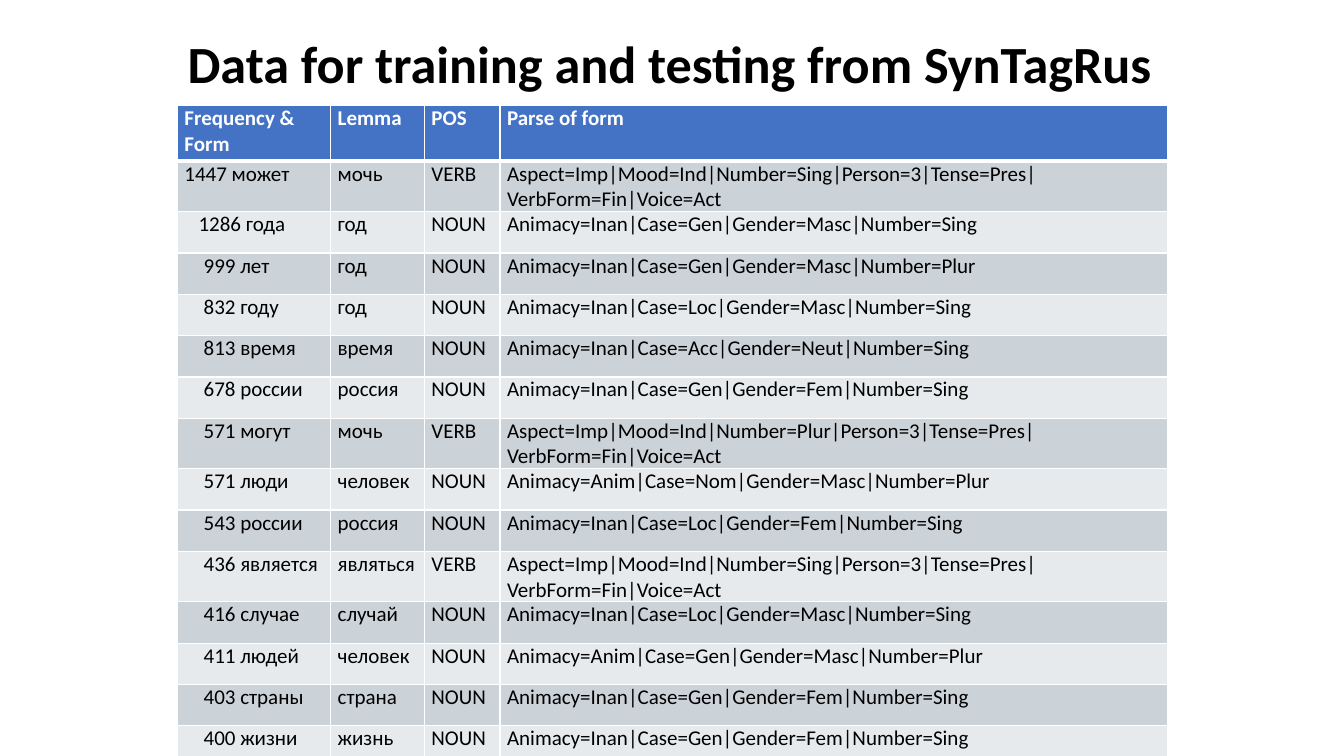
from dataclasses import dataclass

from lxml.etree import SubElement
from pptx import Presentation
from pptx.dml.color import RGBColor
from pptx.enum.text import MSO_ANCHOR, MSO_AUTO_SIZE, PP_ALIGN
from pptx.oxml.ns import qn
from pptx.slide import Slide
from pptx.table import Table, _Cell
from pptx.util import Inches, Pt


@dataclass(frozen=True)
class Theme:
    font: str = "Calibri"
    title_size: float = 37.3
    table_size: float = 15
    text: str = "000000"
    header_text: str = "FFFFFF"
    header_fill: str = "4472C4"
    bands: tuple[str, str] = ("CBD2D8", "E7EAEC")
    border: str = "FFFFFF"
    thin: float = 1
    thick: float = 3


@dataclass(frozen=True)
class WordForm:
    frequency: int
    form: str
    lemma: str
    pos: str
    features: str
    indent: float = 0.19


THEME = Theme()
HEADINGS = ("Frequency & Form", "Lemma", "POS", "Parse of form")
COLUMN_WIDTHS = (1.52, 0.93, 0.75, 6.62)
HEADER_HEIGHT = 0.55
ROW_HEIGHTS = {"VERB": 0.49, "NOUN": 0.41}

SINGULAR_VERB = "Aspect=Imp|Mood=Ind|Number=Sing|Person=3|Tense=Pres|VerbForm=Fin|Voice=Act"
PLURAL_VERB = SINGULAR_VERB.replace("Number=Sing", "Number=Plur")

WORD_FORMS = (
    WordForm(1447, "может", "мочь", "VERB", SINGULAR_VERB, 0),
    WordForm(1286, "года", "год", "NOUN", "Animacy=Inan|Case=Gen|Gender=Masc|Number=Sing", 0.14),
    WordForm(999, "лет", "год", "NOUN", "Animacy=Inan|Case=Gen|Gender=Masc|Number=Plur"),
    WordForm(832, "году", "год", "NOUN", "Animacy=Inan|Case=Loc|Gender=Masc|Number=Sing"),
    WordForm(813, "время", "время", "NOUN", "Animacy=Inan|Case=Acc|Gender=Neut|Number=Sing"),
    WordForm(678, "россии", "россия", "NOUN", "Animacy=Inan|Case=Gen|Gender=Fem|Number=Sing"),
    WordForm(571, "могут", "мочь", "VERB", PLURAL_VERB),
    WordForm(571, "люди", "человек", "NOUN", "Animacy=Anim|Case=Nom|Gender=Masc|Number=Plur"),
    WordForm(543, "россии", "россия", "NOUN", "Animacy=Inan|Case=Loc|Gender=Fem|Number=Sing"),
    WordForm(436, "является", "являться", "VERB", SINGULAR_VERB),
    WordForm(416, "случае", "случай", "NOUN", "Animacy=Inan|Case=Loc|Gender=Masc|Number=Sing"),
    WordForm(411, "людей", "человек", "NOUN", "Animacy=Anim|Case=Gen|Gender=Masc|Number=Plur"),
    WordForm(403, "страны", "страна", "NOUN", "Animacy=Inan|Case=Gen|Gender=Fem|Number=Sing"),
    WordForm(400, "жизни", "жизнь", "NOUN", "Animacy=Inan|Case=Gen|Gender=Fem|Number=Sing"),
)


def add_title(page: Slide, text: str) -> None:
    title = page.shapes.title
    title.left, title.top = Inches(1.76), Inches(0.26)
    title.width, title.height = Inches(10), Inches(0.73)
    frame = title.text_frame
    frame.text = text
    frame.word_wrap = True
    frame.auto_size = MSO_AUTO_SIZE.SHAPE_TO_FIT_TEXT
    frame.vertical_anchor = MSO_ANCHOR.TOP
    para = frame.paragraphs[0]
    para.alignment = PP_ALIGN.LEFT
    para.font.name = THEME.font
    para.font.size = Pt(THEME.title_size)
    para.font.bold = True
    para.font.color.rgb = RGBColor.from_string(THEME.text)


def set_borders(cell: _Cell, top: float, bottom: float) -> None:
    properties = cell._tc.get_or_add_tcPr()
    widths = {"a:lnL": THEME.thin, "a:lnR": THEME.thin, "a:lnT": top, "a:lnB": bottom}
    for tag, width in widths.items():
        line = SubElement(properties, qn(tag), w=str(Pt(width)))
        fill = SubElement(line, qn("a:solidFill"))
        SubElement(fill, qn("a:srgbClr"), val=THEME.border)


def fill_row(table: Table, row: int, texts: tuple[str, ...], indent: float = 0) -> None:
    header = row == 0
    fill = THEME.header_fill if header else THEME.bands[(row - 1) % 2]
    color = THEME.header_text if header else THEME.text
    for column, text in enumerate(texts):
        cell = table.cell(row, column)
        cell.margin_left = cell.margin_right = Inches(0.07)
        cell.margin_top = cell.margin_bottom = 0
        # Borders precede the fill in the cell properties
        set_borders(
            cell,
            top=THEME.thick if row == 1 else THEME.thin,
            bottom=THEME.thick if header else THEME.thin,
        )
        cell.fill.solid()
        cell.fill.fore_color.rgb = RGBColor.from_string(fill)
        cell.text = text
        para = cell.text_frame.paragraphs[0]
        if column == 0 and indent:
            para._p.get_or_add_pPr().set("marL", str(Inches(indent)))
        para.font.name = THEME.font
        para.font.size = Pt(THEME.table_size)
        para.font.bold = header
        para.font.color.rgb = RGBColor.from_string(color)


def add_word_table(page: Slide) -> None:
    heights = [HEADER_HEIGHT] + [ROW_HEIGHTS[word.pos] for word in WORD_FORMS]
    table = page.shapes.add_table(
        len(heights), len(HEADINGS), Inches(1.76), Inches(1.05),
        Inches(sum(COLUMN_WIDTHS)), Inches(sum(heights)),
    ).table
    for column, width in zip(table.columns, COLUMN_WIDTHS):
        column.width = Inches(width)
    for table_row, height in zip(table.rows, heights):
        table_row.height = Inches(height)

    fill_row(table, 0, HEADINGS)
    for row, word in enumerate(WORD_FORMS, start=1):
        texts = (f"{word.frequency} {word.form}", word.lemma, word.pos, word.features)
        fill_row(table, row, texts, word.indent)


def main() -> None:
    deck = Presentation()
    deck.slide_width, deck.slide_height = Inches(13.33), Inches(7.5)
    page = deck.slides.add_slide(deck.slide_layouts.get_by_name("Title Only"))
    add_word_table(page)
    add_title(page, "Data for training and testing from SynTagRus")
    deck.save("out.pptx")


if __name__ == "__main__":
    main()
